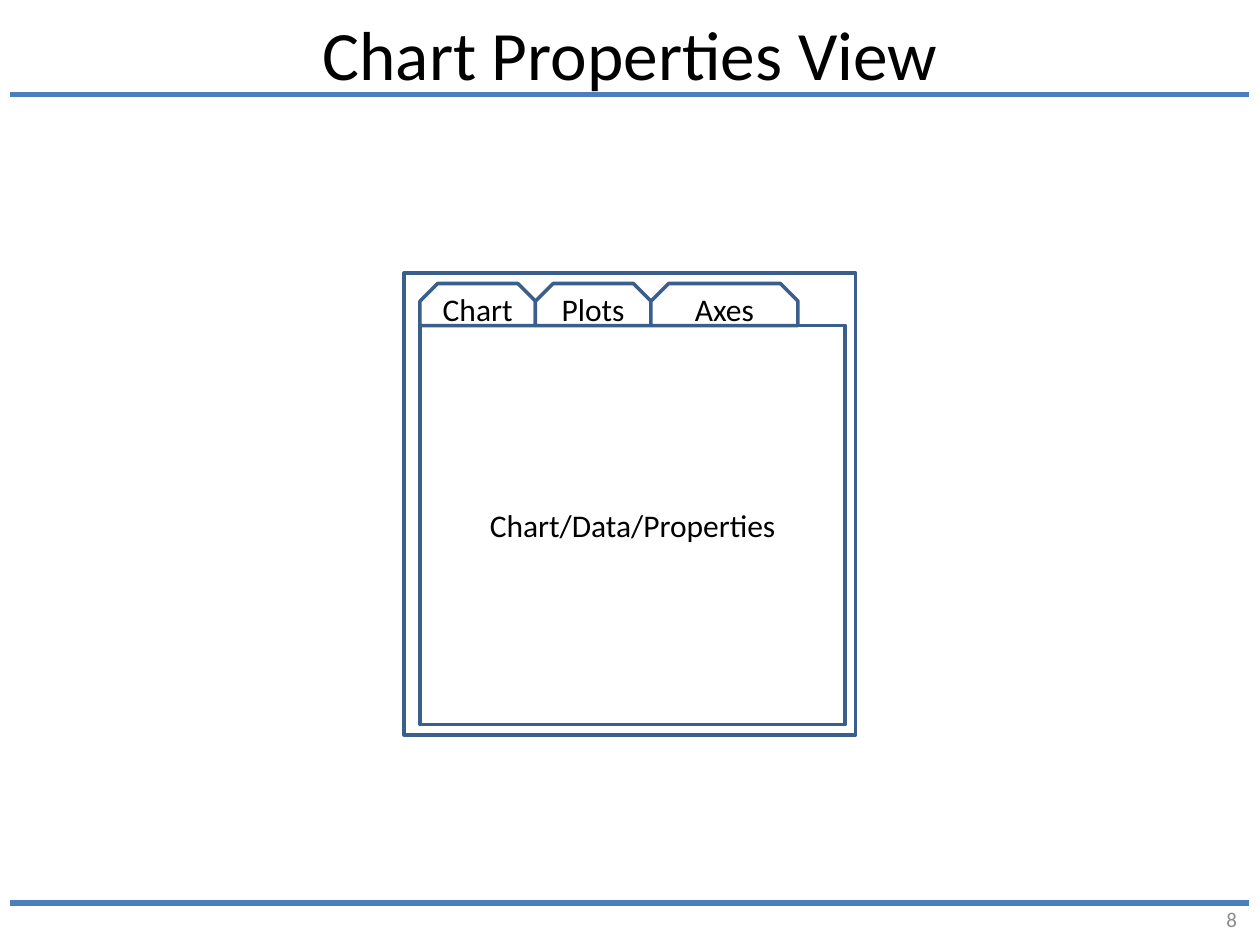
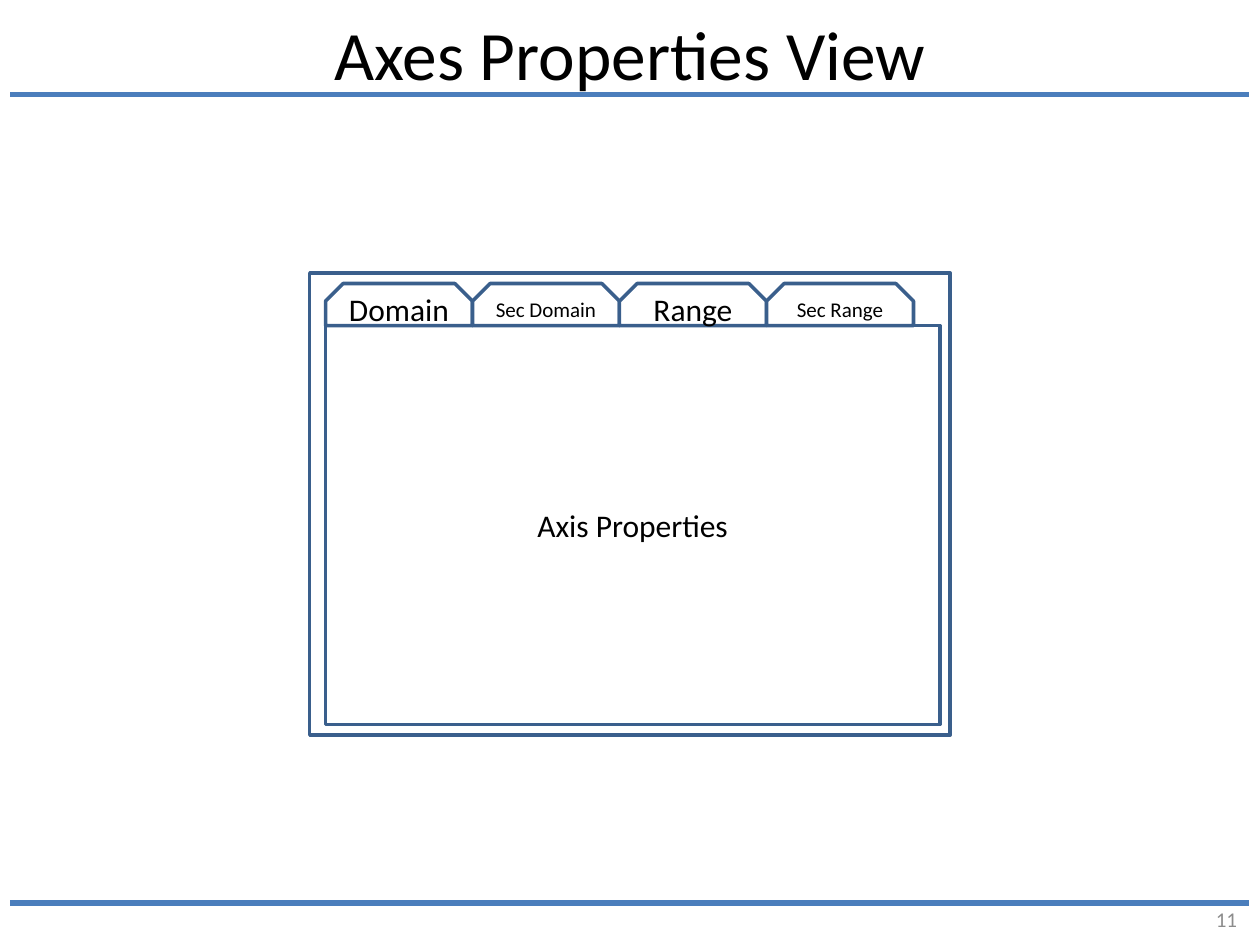
from lxml import etree
from pptx import Presentation
from pptx import util as u
from pptx.dml.color import RGBColor
from pptx.enum import shapes, text
from pptx.oxml import ns

COLUMNS, ROWS = 120, 90
TITLE_ONLY = 5
FONT = "Calibri"
BLACK = RGBColor(0x00, 0x00, 0x00)
WHITE = RGBColor(0xFF, 0xFF, 0xFF)
GREY = RGBColor(0x8C, 0x8C, 0x8C)
RULE_BLUE = RGBColor(0x4B, 0x7E, 0xBC)
FRAME_BLUE = RGBColor(0x3A, 0x5F, 0x8C)

VIEWS = [
    ("Chart Properties View", "8", 43, "Chart/Data/Properties",
     [("Chart", 11, 18), ("Plots", 11, 18), ("Axes", 14, 18)]),
    ("Axes Properties View", "11", 61, "Axis Properties",
     [("Domain", 14, 18), ("Sec Domain", 14, 12),
      ("Range", 14, 18), ("Sec Range", 14, 12)]),
]


class Deck:
    def __init__(self):
        self.presentation = Presentation()
        self.presentation.slide_width = u.Inches(10)
        self.presentation.slide_height = u.Inches(7.5)
        self.slide = None

    def x(self, columns):
        return int(self.presentation.slide_width * columns / COLUMNS)

    def y(self, rows):
        return int(self.presentation.slide_height * rows / ROWS)

    def box(self, left, top, width, height):
        return self.x(left), self.y(top), self.x(width), self.y(height)

    def label(self, shape, words, size, color=BLACK,
              align=text.PP_ALIGN.CENTER):
        frame = shape.text_frame
        frame.word_wrap = True
        frame.auto_size = text.MSO_AUTO_SIZE.NONE
        frame.vertical_anchor = text.MSO_ANCHOR.MIDDLE
        paragraph = frame.paragraphs[0]
        paragraph.alignment = align
        run = paragraph.add_run()
        run.text = words
        run.font.name = FONT
        run.font.size = u.Pt(size)
        run.font.color.rgb = color

    def rule(self, row):
        line = self.slide.shapes.add_connector(
            shapes.MSO_CONNECTOR.STRAIGHT,
            self.x(1), self.y(row), self.x(COLUMNS - 1), self.y(row))
        line.line.color.rgb = RULE_BLUE
        line.line.width = u.Pt(3)
        etree.SubElement(line.element.spPr, ns.qn("a:effectLst"))
        self.slide.shapes.title.element.addprevious(line.element)

    def start(self, heading, number):
        layout = self.presentation.slide_layouts[TITLE_ONLY]
        self.slide = self.presentation.slides.add_slide(layout)
        title = self.slide.shapes.title
        title.left, title.top, title.width, title.height = self.box(6, 1, 108, 8)
        self.label(title, heading, 39.6)
        for row in (9, 86):
            self.rule(row)
        footer = self.slide.shapes.add_textbox(*self.box(91, 86, 28, 3))
        self.label(footer, number, 12, GREY, text.PP_ALIGN.RIGHT)

    def panel(self, group, kind, place, words="", size=18):
        shape = group.shapes.add_shape(kind, *self.box(*place))
        shape.shadow.inherit = False
        shape.fill.solid()
        shape.fill.fore_color.rgb = WHITE
        shape.line.color.rgb = FRAME_BLUE
        shape.line.width = u.Pt(2)
        if words:
            self.label(shape, words, size)
        return shape

    def tab(self, group, left, width, words, size):
        shape = self.panel(group, shapes.MSO_SHAPE.SNIP_2_SAME_RECTANGLE,
                           (left, 27, width, 4), words, size)
        shape.adjustments[0] = 0.42
        shape.adjustments[1] = 0
        shape.text_frame.margin_left = shape.text_frame.margin_right = 0

    def tabbed_window(self, width, content, tabs):
        group = self.slide.shapes.add_group_shape()
        rectangle = shapes.MSO_SHAPE.RECTANGLE
        left = (COLUMNS - width) / 2
        self.panel(group, rectangle, (left, 26, width, 44))
        left += 1.5
        self.panel(group, rectangle, (left, 31, width - 2.5, 38), content)
        for words, tab_width, size in tabs:
            self.tab(group, left, tab_width, words, size)
            left += tab_width


def main():
    deck = Deck()
    for heading, number, width, content, tabs in VIEWS:
        deck.start(heading, number)
        deck.tabbed_window(width, content, tabs)
    deck.presentation.save("out.pptx")


if __name__ == "__main__":
    main()
